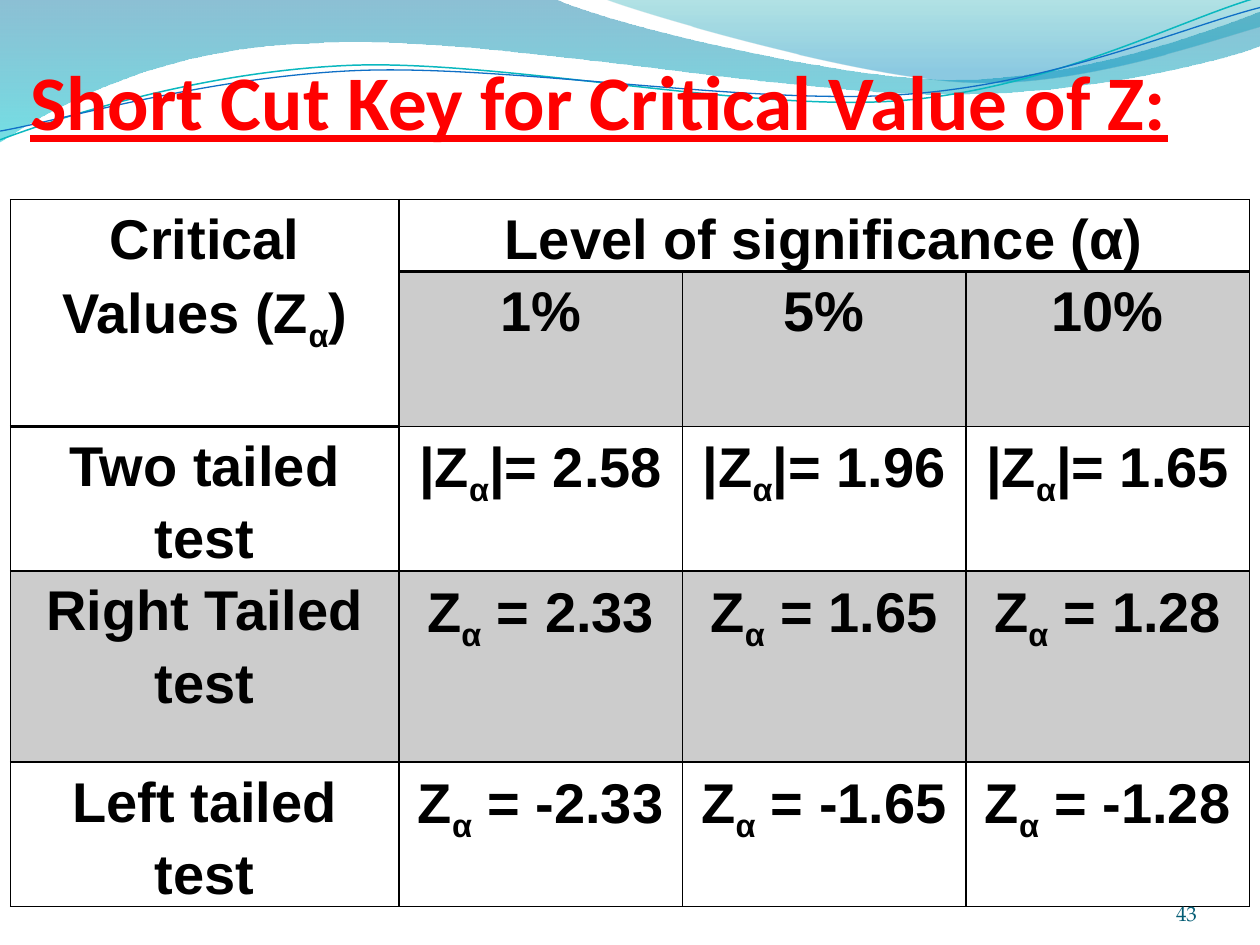
from dataclasses import dataclass

from lxml.etree import SubElement
from pptx import Presentation
from pptx.dml.color import RGBColor
from pptx.enum.text import MSO_ANCHOR, MSO_AUTO_SIZE, PP_ALIGN
from pptx.oxml import parse_xml
from pptx.oxml.ns import nsdecls, qn
from pptx.util import Pt


@dataclass(frozen=True)
class Theme:
    """Colours, fonts and type sizes."""
    red: str = "FF0000"
    ink: str = "000000"
    page: str = "045D75"
    teal: str = "0AB8BF"
    blue: str = "0F6FC6"
    deep: tuple = ((0, "0074A1", 45), (1, "00C6CF", 55))
    pale: tuple = ((0, "00A1A9", 30), (0.8, "008BBF", 45))
    head: str = "Calibri"
    body: str = "Arial"
    foot: str = "TeX Gyre Pagella"
    big: float = 44.1
    mid: float = 32
    low: float = 12
    shade: int = 20


def bend(root, parts):
    """Turn each run of three straight steps into one cubic curve."""
    steps = list(root.iter(qn("a:lnTo")))
    for part in parts:
        first, *rest = steps[:len(part) // 2]
        del steps[:len(part) // 2]
        if rest:
            curve = parse_xml(f'<a:cubicBezTo {nsdecls("a")}/>')
            first.addprevious(curve)
            for step in (first, *rest):
                curve.append(step[0])
                step.getparent().remove(step)


def fade(root, *parts):
    """Give each colour under root its opacity in percent."""
    for node, part in zip(root.iter(qn("a:srgbClr")), parts):
        SubElement(node, qn("a:alpha"), val=str(part * 1000))


class Deck:
    """Style and current slide."""

    def __init__(self, theme):
        self.look = theme
        self.deck = Presentation()
        self.deck.slide_width, self.deck.slide_height = Pt(720), Pt(540)
        self.slide = self.deck.slides.add_slide(self.deck.slide_layouts[5])

    def run(self, para, text, face, size, tint, bold=False, sub=False):
        """Add one styled run."""
        run = para.add_run()
        run.text = text
        font = run.font
        font.name, font.size, font.bold = face, Pt(size), bold
        font.color.rgb = RGBColor.from_string(tint)
        if sub:
            run._r.get_or_add_rPr().set("baseline", "-25000")
        return run

    def frame(self, frame, align, base=0):
        """Set up a bottom-anchored frame and return its paragraph."""
        frame.word_wrap = True
        frame.auto_size = MSO_AUTO_SIZE.NONE
        frame.vertical_anchor = MSO_ANCHOR.BOTTOM
        frame.margin_left = frame.margin_right = frame.margin_top = 0
        frame.margin_bottom = Pt(base)
        para = frame.paragraphs[0]
        para.alignment = align
        return para

    def curve(self, start, parts, close):
        """Draw a freeform of lines and cubic curves without shadow."""
        pen = self.slide.shapes.build_freeform(*map(Pt, start), scale=1.0)
        pen.add_line_segments([(Pt(part[n]), Pt(part[n + 1])) for part in parts
                               for n in range(0, len(part), 2)], close=close)
        shape = pen.convert_to_shape()
        bend(shape.element.spPr, parts)
        shape.shadow.inherit = False
        return shape

    def wave(self, start, parts, stops):
        """Draw a wave with a see-through gradient."""
        shape = self.curve(start, parts, True)
        shape.line.fill.background()
        fill = shape.fill
        fill.gradient()
        fill.gradient_angle = 270
        for stop, (place, tint, _) in zip(fill.gradient_stops, stops):
            stop.position = place
            stop.color.rgb = RGBColor.from_string(tint)
        fade(shape.element.spPr, *(part for _, _, part in stops))

    def thread(self, start, parts, tint, wide):
        """Draw a thin open curve."""
        shape = self.curve(start, parts, False)
        shape.fill.background()
        shape.line.color.rgb = RGBColor.from_string(tint)
        shape.line.width = Pt(wide)

    def title(self, text, box):
        """Fill the title and lift it above the waves."""
        shape = self.slide.shapes.title
        shape.left, shape.top, shape.width, shape.height = map(Pt, box)
        para = self.frame(shape.text_frame, PP_ALIGN.LEFT, 54)
        look = self.look
        run = self.run(para, text, look.head, look.big, look.red, True)
        run.font.underline = True
        shape.element.getparent().append(shape.element)

    def label(self, text, box):
        """Add the page number."""
        shape = self.slide.shapes.add_textbox(*map(Pt, box))
        para = self.frame(shape.text_frame, PP_ALIGN.RIGHT)
        self.run(para, text, self.look.foot, self.look.low, self.look.page)

    def cell(self, cell, text, dark, base):
        """Style one cell; an underscore marks a subscript alpha."""
        look = self.look
        cell.margin_left = cell.margin_right = Pt(5)
        cell.margin_top = cell.margin_bottom = 0
        cell.vertical_anchor = MSO_ANCHOR.TOP
        props = cell._tc.get_or_add_tcPr()
        if dark:
            cell.fill.solid()
            cell.fill.fore_color.rgb = RGBColor.from_string(look.ink)
            fade(props, look.shade)
        else:
            cell.fill.background()
        for n, side in enumerate("LRTB"):
            wide = Pt(base if side == "B" else 1)
            props.insert(n, parse_xml(
                f'<a:ln{side} {nsdecls("a")} w="{wide}"><a:solidFill>'
                f'<a:srgbClr val="{look.ink}"/></a:solidFill></a:ln{side}>'))
        if text:
            para = cell.text_frame.paragraphs[0]
            para.alignment = PP_ALIGN.CENTER
            para.line_spacing = 1.15
            head, mark, tail = text.partition("_α")
            for part, sub in ((head, False), (mark[1:], True), (tail, False)):
                if part:
                    self.run(para, part, look.body, look.mid, look.ink, True, sub)

    def table(self, rows, spot, cols, highs, spans, dark, thick):
        """Add a table with merged heads and shaded cells."""
        shape = self.slide.shapes.add_table(
            len(rows), len(cols), *map(Pt, spot), Pt(sum(cols)), Pt(sum(highs)))
        grid = shape.table
        grid.first_row = grid.horz_banding = False
        for col, wide in zip(grid.columns, cols):
            col.width = Pt(wide)
        for row, high in zip(grid.rows, highs):
            row.height = Pt(high)
        for start, end in spans:
            grid.cell(*start).merge(grid.cell(*end))
        for r, row in enumerate(rows):
            for c, text in enumerate(row):
                base = 2 if (r, c) in thick else 1
                self.cell(grid.cell(r, c), text, (r, c) in dark, base)


def main():
    """Build the slide."""
    look = Theme()
    deck = Deck(look)
    deck.wave((0, 0), [(316.8, -0.7), (342.7, 12.2, 478.1, 45.4, 545.8, 45.4),
                       (614.2, 45.4, 689.8, 18.7, 720, 6.5), (720.7, 25.9),
                       (707.8, 31.7, 626.4, 54.7, 537.1, 54),
                       (447.8, 54, 275, 20.2, 185, 24.5),
                       (92.9, 25.9, 33.1, 59.8, -0.7, 81.4), (0, 0)], look.deep)
    deck.wave((344.9, -0.7), [(366.5, 7.9, 491, 44.6, 553.7, 46.8),
                              (616.3, 49.7, 691.9, 23, 720, 15.1),
                              (720, 0), (344.9, -0.7)], look.pale)
    deck.thread((0, 79.9), [(34.6, 67, 113.8, 41, 199.4, 37.4),
                            (284.4, 33.8, 427, 64.1, 513.4, 57.6),
                            (599.8, 51.1, 675.4, 10.8, 718.6, -1.4)], look.teal, 0.85)
    deck.thread((0, 74.9), [(33.8, 69.1, 118.1, 43.9, 203.8, 40.3),
                            (290.2, 36.7, 429.8, 60.5, 516.2, 54),
                            (601.9, 48.2, 677.5, 15.1, 720, 4.3)], look.blue, 0.75)
    deck.title("Short Cut Key for Critical Value of Z:", (17.2, 23.8, 702, 113.8))
    rows = [["Critical Values (Z_α)", "Level of significance (α)", "", ""],
            ["", "1%", "5%", "10%"]]
    for name, form, vals in (
            ("Two tailed test", "|Z_α|= ", ("2.58", "1.96", "1.65")),
            ("Right Tailed test", "Z_α = ", ("2.33", "1.65", "1.28")),
            ("Left tailed test", "Z_α = -", ("2.33", "1.65", "1.28"))):
        rows.append([name] + [form + val for val in vals])
    dark = {(1, c) for c in (1, 2, 3)} | {(3, c) for c in range(4)}
    thick = {(0, c) for c in range(4)} | {(1, 0)}
    deck.table(rows, (6, 114), [222] + [162] * 3, [41, 88.4, 82.4, 109.2, 82.4],
               [((0, 0), (1, 0)), ((0, 1), (0, 3))], dark, thick)
    deck.label("43", (624, 500.4, 60, 28.8))
    deck.deck.save("out.pptx")


if __name__ == "__main__":
    main()
